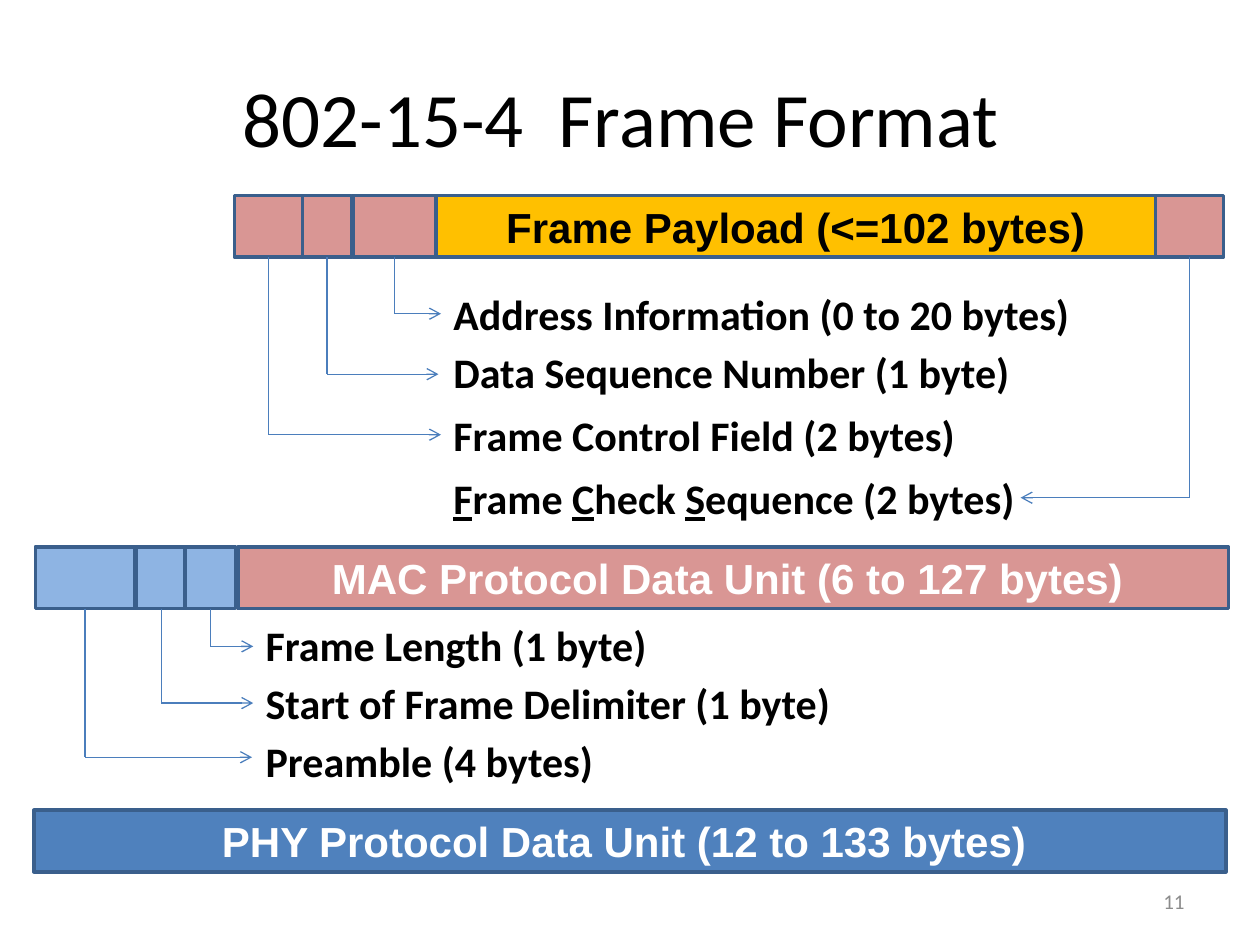
import lxml.etree
import pptx
import pptx.dml.color
import pptx.enum.shapes
import pptx.enum.text
import pptx.oxml.ns
import pptx.util

PX = 9144  # 100 px to the inch
COLORS = {
    "black": "000000", "white": "FFFFFF", "gray": "8C8C8C",
    "payload": "FFC000", "mac": "D99694", "phy": "4F81BD", "phy_header": "8EB4E3",
    "outline": "3A5F8C", "arrow": "4B7EBC",
}
ALIGN = pptx.enum.text.PP_ALIGN
MIDDLE = pptx.enum.text.MSO_ANCHOR.MIDDLE


def write(s, text, size, font, color, align, bold=False):
    """Fill a shape with one paragraph; parts between bars are underlined."""
    p = s.text_frame.paragraphs[0]
    p.alignment = align
    for i, part in enumerate(text.split("|")):
        if not part:
            continue
        r = p.add_run()
        r.text = part
        r.font.size = pptx.util.Pt(size)
        r.font.name = font
        r.font.bold = bold
        r.font.color.rgb = pptx.dml.color.RGBColor.from_string(COLORS[color])
        if i % 2:
            r.font.underline = True


def add_line(x1, y1, x2, y2):
    c = slide.shapes.add_connector(
        pptx.enum.shapes.MSO_CONNECTOR.STRAIGHT, x1 * PX, y1 * PX, x2 * PX, y2 * PX)
    c.line.width = pptx.util.Pt(0.75)
    c.line.color.rgb = pptx.dml.color.RGBColor.from_string(COLORS["arrow"])
    lxml.etree.SubElement(c._element.spPr, pptx.oxml.ns.qn("a:effectLst"))
    return c


prs = pptx.Presentation()
prs.slide_width, prs.slide_height = 1000 * PX, 750 * PX
slide = prs.slides.add_slide(prs.slide_layouts[6])

# Title and slide number
for x, y, w, h, text, size, color, align in [
    (50, 30, 900, 125, "802-15-4  Frame Format ", 44, "black", ALIGN.CENTER),
    (717, 695, 233, 40, "11", 12, "gray", ALIGN.RIGHT),
]:
    s = slide.shapes.add_textbox(x * PX, y * PX, w * PX, h * PX)
    s.text_frame.word_wrap = True
    s.text_frame.vertical_anchor = MIDDLE
    write(s, text, size, "Calibri", color, align)

# Frame bars: name, left, top, width, fill, text, text colour
BAR_HEIGHT = 49
bars = {}
for name, x, y, w, fill, text, color in [
    ("payload", 346, 155, 571, "payload", "Frame Payload (<=102 bytes)", "black"),
    ("control", 186, 155, 54, "mac", "", "black"),
    ("sequence", 240, 155, 39, "mac", "", "black"),
    ("address", 280, 155, 66, "mac", "", "black"),
    ("check", 917, 155, 54, "mac", "", "black"),
    ("preamble", 28, 434, 79, "phy_header", "", "black"),
    ("mac", 189, 434, 786, "mac", "MAC Protocol Data Unit (6 to 127 bytes) ", "white"),
    ("delimiter", 108, 434, 40, "phy_header", "", "black"),
    ("length", 147, 434, 40, "phy_header", "", "black"),
    ("phy", 27, 643, 946, "phy", "PHY Protocol Data Unit (12 to 133 bytes) ", "white"),
]:
    s = slide.shapes.add_shape(
        pptx.enum.shapes.MSO_SHAPE.RECTANGLE, x * PX, y * PX, w * PX, BAR_HEIGHT * PX)
    s.shadow.inherit = False
    s.fill.solid()
    s.fill.fore_color.rgb = pptx.dml.color.RGBColor.from_string(COLORS[fill])
    s.line.color.rgb = pptx.dml.color.RGBColor.from_string(COLORS["outline"])
    s.line.width = pptx.util.Pt(2)
    s.text_frame.vertical_anchor = MIDDLE
    write(s, text, 24, "Arial", color, ALIGN.CENTER, True)
    bars[name] = (s, x + w // 2, y + BAR_HEIGHT)

# Field labels, each with a stem down from its field and an arrow to the label
for field, x, y, w, text, arrow_x, arrow_y in [
    ("address", 350, 224, 514, "Address Information (0 to 20 bytes)", 350, 249),
    ("sequence", 350, 270, 466, "Data Sequence Number (1 byte)", 348, 297),
    ("control", 350, 320, 422, "Frame Control Field (2 bytes)", 350, 345),
    ("check", 350, 370, 470, "|F|rame |C|heck |S|equence (2 bytes)", 810, 395),
    ("length", 201, 487, 326, "Frame Length (1 byte)", 201, 513),
    ("delimiter", 201, 533, 473, "Start of Frame Delimiter (1 byte)", 201, 558),
    ("preamble", 201, 579, 283, "Preamble (4 bytes)", 200, 601),
]:
    s = slide.shapes.add_textbox(x * PX, y * PX, w * PX, 50 * PX)
    s.text_frame.word_wrap = False
    s.text_frame.auto_size = pptx.enum.text.MSO_AUTO_SIZE.SHAPE_TO_FIT_TEXT
    write(s, text, 24, "Calibri", "black", ALIGN.LEFT, True)

    bar, stem_x, stem_y = bars[field]
    stem = add_line(stem_x, stem_y, stem_x, arrow_y)
    stem.begin_connect(bar, 2)
    stem.end_x = stem.begin_x
    arrow = add_line(stem_x, arrow_y, arrow_x, arrow_y)
    arrow.begin_x = stem.begin_x
    lxml.etree.SubElement(
        arrow.line._get_or_add_ln(), pptx.oxml.ns.qn("a:tailEnd"), type="arrow")

prs.save("out.pptx")
